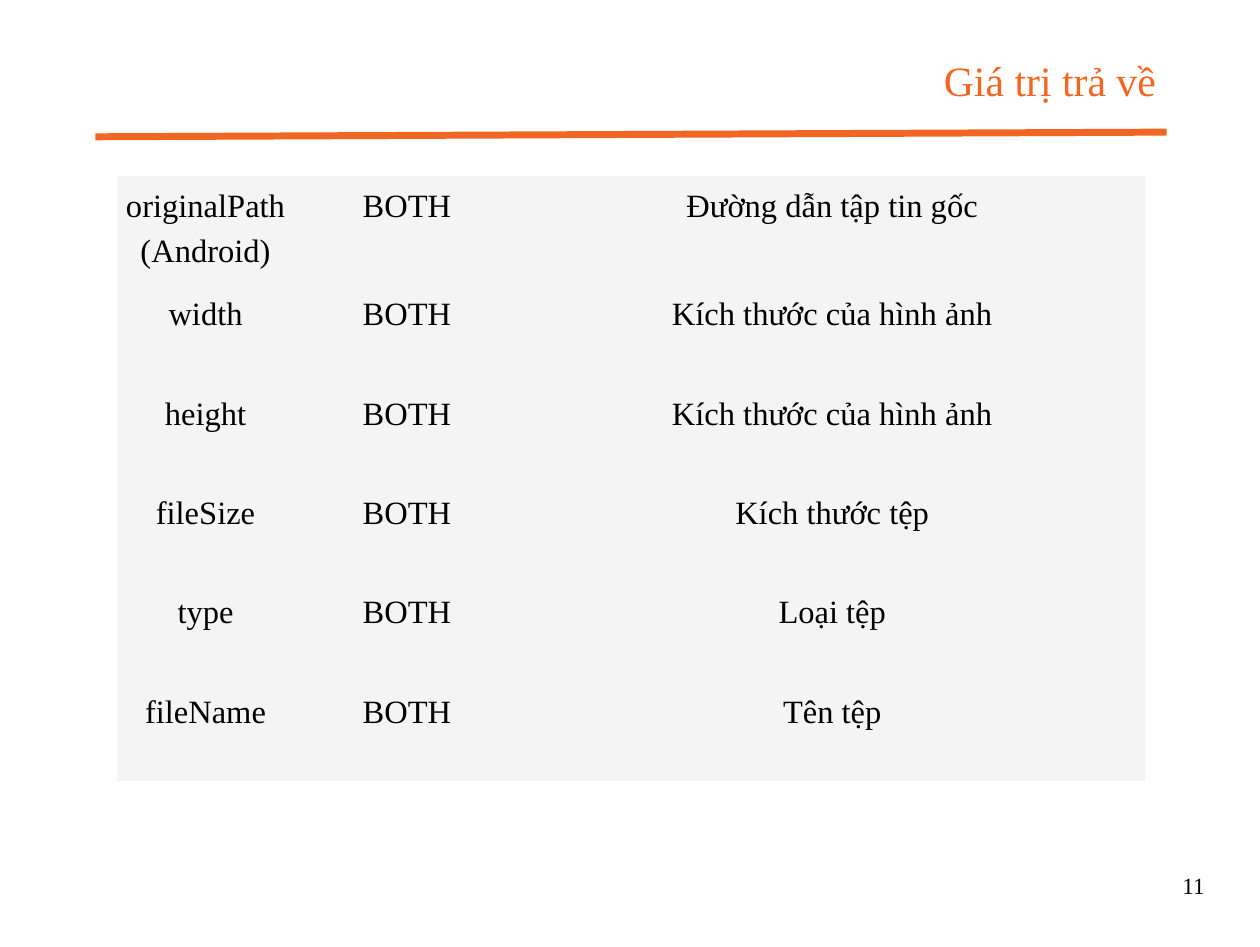
from lxml import etree
from pptx import Presentation
from pptx import util as u
from pptx.dml.color import RGBColor
from pptx.enum import shapes, text
from pptx.oxml.ns import qn

FONT = "Times New Roman"
ORANGE, BLACK, GREY = "F16622", "000000", "F4F4F4"
COLS = [2.69, 3.43, 9.5]
FIRST, REST = 1.65, 1.51
FIELDS = [
    ("originalPath (Android)", "Đường dẫn tập tin gốc"),
    ("width", "Kích thước của hình ảnh"),
    ("height", "Kích thước của hình ảnh"),
    ("fileSize", "Kích thước tệp"),
    ("type", "Loại tệp"),
    ("fileName", "Tên tệp"),
]


def paint(item, hue):
    """Give a colour format its hex colour."""
    item.rgb = RGBColor.from_string(hue)


def write(frame, words, size, hue, align):
    """Put one styled paragraph in a text frame."""
    frame.text = words
    frame.word_wrap = True
    line = frame.paragraphs[0]
    line.alignment = align
    line.line_spacing = u.Pt(round(size * 1.4, 1))
    line.space_before = u.Pt(0)
    font = line.runs[0].font
    font.name, font.size = FONT, u.Pt(size)
    paint(font.color, hue)


def label(shape, words, size, hue):
    """Write right-aligned text in a shape without insets."""
    frame = shape.text_frame
    frame.margin_left = frame.margin_right = 0
    frame.margin_top = frame.margin_bottom = 0
    frame.vertical_anchor = text.MSO_ANCHOR.TOP
    frame.auto_size = text.MSO_AUTO_SIZE.NONE
    write(frame, words, size, hue, text.PP_ALIGN.RIGHT)


def rule(slide):
    """Draw the orange line under the title."""
    line = slide.shapes.add_connector(
        shapes.MSO_CONNECTOR.STRAIGHT,
        u.Cm(1.45), u.Cm(2.08), u.Cm(17.73), u.Cm(2.01))
    line.line.width = u.Pt(3)
    paint(line.line.color, ORANGE)
    etree.SubElement(line._element.spPr, qn("a:effectLst"))


def head(slide, words):
    """Place and fill the title."""
    title = slide.shapes.title
    title.left, title.top = u.Cm(5.36), u.Cm(0.71)
    title.width, title.height = u.Cm(12.37), u.Cm(0.97)
    label(title, words, 18, ORANGE)


def fill(cell, words):
    """Style one borderless grey cell."""
    cell.margin_left = cell.margin_right = u.Cm(0.05)
    cell.margin_top = cell.margin_bottom = u.Cm(0.05)
    props = cell._tc.get_or_add_tcPr()
    for side in ("lnL", "lnR", "lnT", "lnB"):
        edge = etree.SubElement(props, qn("a:" + side), w="0")
        etree.SubElement(edge, qn("a:noFill"))
    cell.fill.solid()
    paint(cell.fill.fore_color, GREY)
    write(cell.text_frame, words, 14, BLACK, text.PP_ALIGN.CENTER)


def grid(slide):
    """Build the table of returned values."""
    high = FIRST + REST * (len(FIELDS) - 1)
    table = slide.shapes.add_table(
        len(FIELDS), len(COLS), u.Cm(1.78), u.Cm(2.67),
        u.Cm(sum(COLS)), u.Cm(high)).table
    table.first_row = table.horz_banding = False
    for col, wide in zip(table.columns, COLS):
        col.width = u.Cm(wide)
    for i, (name, note) in enumerate(FIELDS):
        table.rows[i].height = u.Cm(REST if i else FIRST)
        for j, words in enumerate((name, "BOTH", note)):
            fill(table.cell(i, j), words)


def page(slide, words):
    """Add the page number."""
    box = slide.shapes.add_textbox(
        u.Cm(17.73), u.Cm(13.18), u.Cm(0.58), u.Cm(0.51))
    label(box, words, 10, BLACK)


def main():
    """Build and save the slide."""
    deck = Presentation()
    deck.slide_width, deck.slide_height = u.Cm(19.15), u.Cm(14.4)
    slide = deck.slides.add_slide(deck.slide_layouts[5])
    rule(slide)
    head(slide, "Giá trị trả về ")
    grid(slide)
    page(slide, "11")
    deck.save("out.pptx")


if __name__ == "__main__":
    main()
